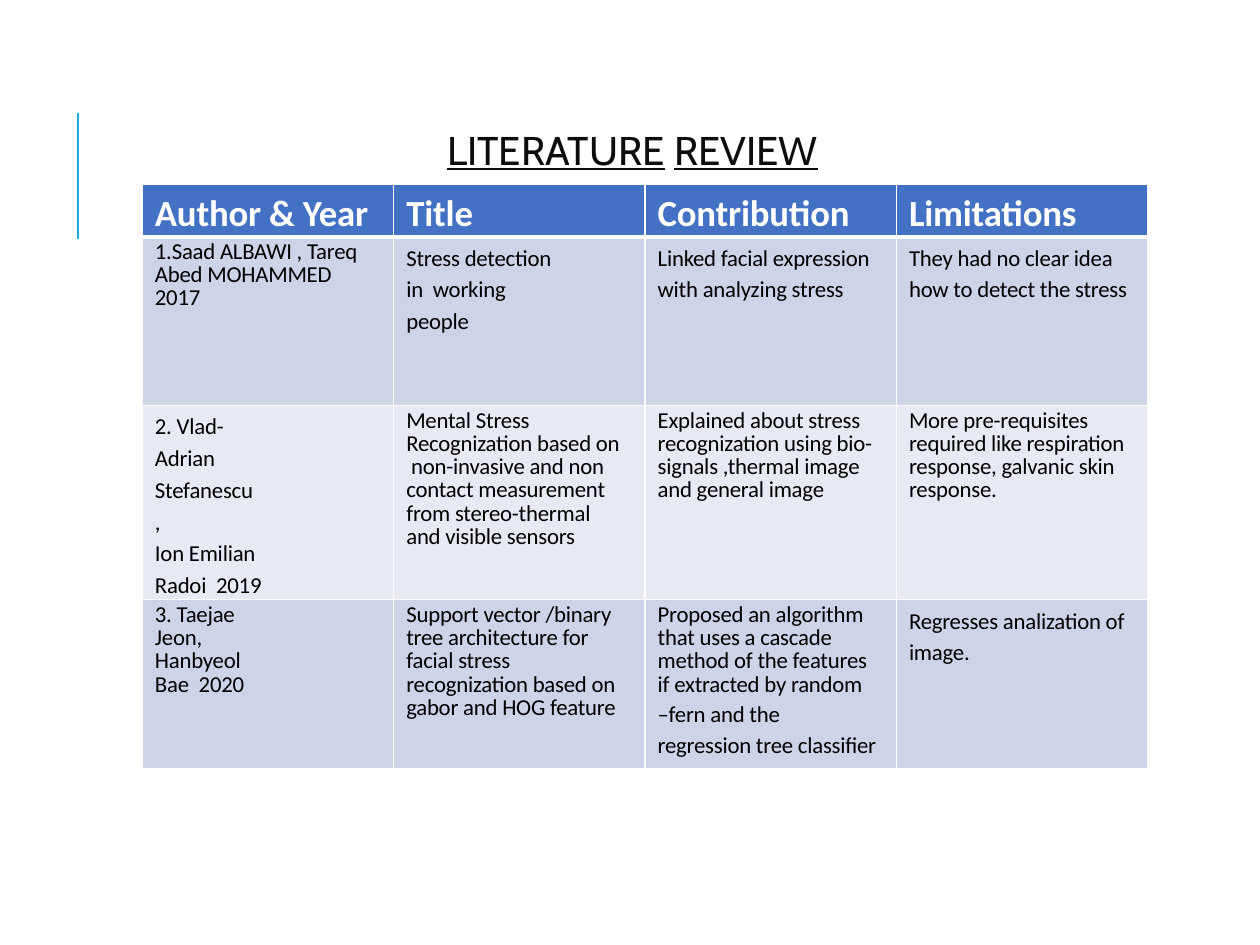
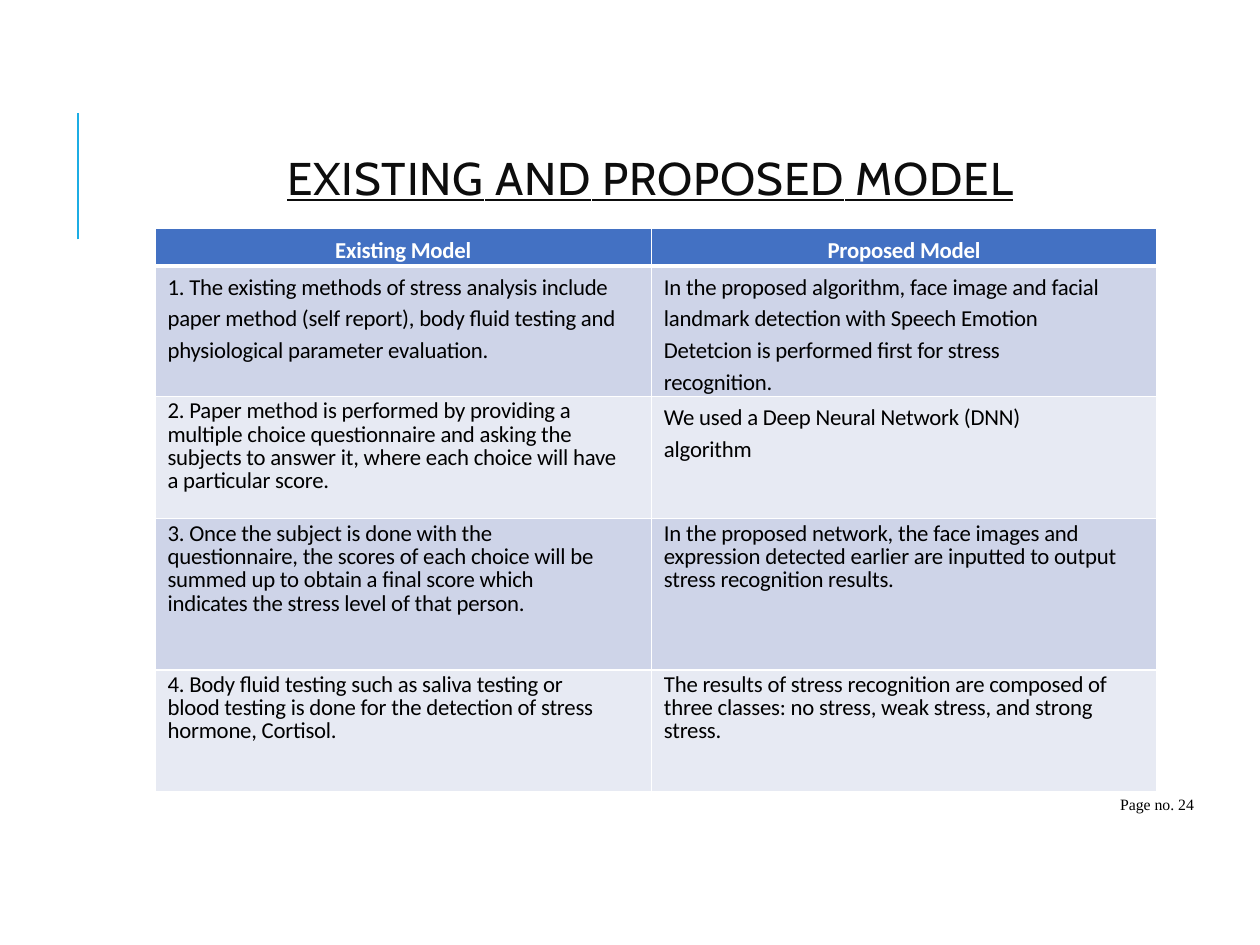
from lxml import etree
from pptx import Presentation
from pptx.dml.color import RGBColor
from pptx.enum.shapes import MSO_CONNECTOR
from pptx.enum.text import MSO_ANCHOR, PP_ALIGN
from pptx.oxml.ns import qn
from pptx.util import Inches, Pt

STRAIGHT = MSO_CONNECTOR.STRAIGHT
MIDDLE, TOP = MSO_ANCHOR.MIDDLE, MSO_ANCHOR.TOP
LEFT, CENTER = PP_ALIGN.LEFT, PP_ALIGN.CENTER

COLORS = {
    "accent": "1CADE4",
    "title": "0D0D0D",
    "text": "000000",
    "white": "FFFFFF",
    "header": "4371C3",
    "odd": "CED4E8",
    "even": "E7EAF3",
}
TITLE_FONT, BODY_FONT, FOOTER_FONT = "Cabin", "Calibri", "Times New Roman"
BODY_SIZE = 13
TIGHT, LOOSE = 0.84, Pt(18.1)


def rgb(name):
    return RGBColor.from_string(COLORS[name])


def style_font(font, name, size, color, bold=False, spacing=0):
    """Set a font; spacing is the gap between letters in points."""
    font.name, font.size, font.bold = name, Pt(size), bold
    font.color.rgb = rgb(color)
    set_letter_spacing(font, spacing)


def set_letter_spacing(font, points):
    font._rPr.set("spc", str(round(points * 100)))


def set_borders(cell, top, bottom):
    """Draw white borders; top and bottom are widths in points."""
    properties = cell._tc.get_or_add_tcPr()
    sides = {"lnL": 1, "lnR": 1, "lnT": top, "lnB": bottom}
    for index, (side, width) in enumerate(sides.items()):
        line = etree.Element(qn(f"a:{side}"), w=str(Pt(width)))
        fill = etree.SubElement(line, qn("a:solidFill"))
        etree.SubElement(fill, qn("a:srgbClr"), val=COLORS["white"])
        properties.insert(index, line)


class Deck:
    def __init__(self):
        self.presentation = Presentation()
        self.presentation.slide_width = Inches(10)
        self.presentation.slide_height = Inches(7.5)
        self.slide = None

    def add_slide(self):
        layout = self.presentation.slide_layouts[6]
        self.slide = self.presentation.slides.add_slide(layout)
        self.add_accent_line()

    def add_accent_line(self):
        line = self.slide.shapes.add_connector(
            STRAIGHT, Inches(0.62), Inches(1.9), Inches(0.62), Inches(0.9))
        line.line.color.rgb = rgb("accent")
        line.line.width = Pt(1.5)
        etree.SubElement(line._element.spPr, qn("a:effectLst"))

    def add_text_box(self, left, top, width, height, anchor=TOP):
        """Add a box without insets and return its first paragraph."""
        box = self.slide.shapes.add_textbox(
            Inches(left), Inches(top), Inches(width), Inches(height))
        frame = box.text_frame
        frame.word_wrap = True
        frame.vertical_anchor = anchor
        frame.margin_left = Inches(0.01)
        frame.margin_top = frame.margin_right = frame.margin_bottom = 0
        return frame.paragraphs[0]

    def add_title(self, place, size, words, letter_spacing, gap_spacing,
                  underline_gaps):
        paragraph = self.add_text_box(*place, anchor=MIDDLE)
        paragraph.line_spacing = 0.8
        paragraph.space_before = Pt(1)
        style_font(paragraph.font, TITLE_FONT, size, "title")
        for index, word in enumerate(words.split()):
            if index:
                self.add_title_run(paragraph, " ", gap_spacing, underline_gaps)
            self.add_title_run(paragraph, word, letter_spacing, True)

    def add_title_run(self, paragraph, text, spacing, underline):
        run = paragraph.add_run()
        run.text = text
        run.font.underline = underline
        set_letter_spacing(run.font, spacing)

    def add_footer(self, text):
        paragraph = self.add_text_box(8.88, 6.31, 0.63, 0.15)
        paragraph.text = text
        paragraph.line_spacing = Pt(10.6)
        style_font(paragraph.font, FOOTER_FONT, 9, "text")

    def add_table(self, left, top, widths, heights, header, rows,
                  header_size, header_spacing, header_align):
        frame = self.slide.shapes.add_table(
            len(heights), len(widths), Inches(left), Inches(top),
            Inches(sum(widths)), Inches(sum(heights)))
        table = frame.table
        for column, width in zip(table.columns, widths):
            column.width = Inches(width)
        for row, height in zip(table.rows, heights):
            row.height = Inches(height)
        for index, text in enumerate(header):
            self.fill_header(table.cell(0, index), text, header_size,
                             header_spacing, header_align)
        for row_index, row in enumerate(rows, start=1):
            for index, content in enumerate(row):
                self.fill_cell(table.cell(row_index, index), row_index,
                               *content)

    def paint_cell(self, cell, color, left, top, right):
        cell.fill.solid()
        cell.fill.fore_color.rgb = rgb(color)
        cell.margin_left, cell.margin_right = Inches(left), Inches(right)
        cell.margin_top, cell.margin_bottom = Inches(top), 0

    def fill_header(self, cell, text, size, line_spacing, align):
        self.paint_cell(cell, "header", 0.1 if align == LEFT else 0, 0, 0)
        set_borders(cell, 1, 3)
        paragraph = cell.text_frame.paragraphs[0]
        paragraph.text = text
        paragraph.alignment = align
        paragraph.line_spacing = Pt(line_spacing)
        style_font(paragraph.font, BODY_FONT, size, "white", True, -0.1)

    def fill_cell(self, cell, row_index, text, line_spacing, right):
        """Fill a body cell; paragraphs after the first are always loose."""
        self.paint_cell(cell, "odd" if row_index % 2 else "even",
                        0.1, 0.03, right)
        set_borders(cell, 3 if row_index == 1 else 1, 1)
        frame = cell.text_frame
        for index, part in enumerate(text.split("\n")):
            paragraph = frame.add_paragraph() if index else frame.paragraphs[0]
            paragraph.text = part
            paragraph.line_spacing = LOOSE if index else line_spacing
            paragraph.space_before = Pt(0 if index else 2.6)
            style_font(paragraph.font, BODY_FONT, BODY_SIZE, "text",
                       spacing=-0.1)


def build_literature_review(deck):
    deck.add_slide()
    rows = [
        [("1.Saad ALBAWI , Tareq  Abed MOHAMMED  2017", TIGHT, 0.13),
         ("Stress detection in  working people", LOOSE, 0.7),
         ("Linked facial expression  with analyzing stress", LOOSE, 0.13),
         ("They had no clear idea  how to detect the stress", LOOSE, 0.13)],
        [("2. Vlad-Adrian  Stefanescu \v,\nIon Emilian Radoi  2019",
          LOOSE, 1),
         ("Mental Stress  Recognization based on  non-invasive and non  "
          "contact measurement  from stereo-thermal  and visible sensors",
          TIGHT, 0.17),
         ("Explained about stress  recognization using bio-  "
          "signals ,thermal image  and general image", TIGHT, 0.13),
         ("More pre-requisites  required like respiration  response, "
          "galvanic skin  response.", TIGHT, 0.13)],
        [("3. Taejae Jeon,  Hanbyeol Bae  2020", TIGHT, 1),
         ("Support vector /binary  tree architecture for  facial stress  "
          "recognization based on  gabor and HOG feature", TIGHT, 0.17),
         ("Proposed an algorithm  that uses a cascade  method of the "
          "features  if extracted by random\n"
          "–fern and the  regression tree classifier", TIGHT, 0.13),
         ("Regresses analization of  image.", LOOSE, 0.13)],
    ]
    deck.add_table(1.13, 1.46, [7.98 / 4] * 4, [0.4, 1.34, 1.39, 1.34],
                   ["Author & Year", "Title", "Contribution", "Limitations"],
                   rows, 21, 30.2, LEFT)
    deck.add_title((3.54, 1.02, 3.55, 0.4), 22.9, "LITERATURE REVIEW",
                   0, 0.3, False)


def build_model_comparison(deck):
    deck.add_slide()
    deck.add_title((2.27, 1.22, 6.1, 0.45), 26.2,
                   "EXISTING AND PROPOSED MODEL", 0.55, -3, True)
    rows = [
        [("1. The existing methods of stress analysis include  paper method "
          "(self report), body fluid testing and  physiological parameter "
          "evaluation.", LOOSE, 0.2),
         ("In the proposed algorithm, face image and facial  landmark "
          "detection with Speech Emotion Detetcion is performed first for "
          "stress  recognition.", LOOSE, 0.37)],
        [("2. Paper method is performed by providing a  multiple choice "
          "questionnaire and asking the  subjects to answer it, where each "
          "choice will have  a particular score.", TIGHT, 0.2),
         ("We used a Deep Neural Network (DNN)  algorithm", LOOSE, 0.37)],
        [("3. Once the subject is done with the  questionnaire, the scores "
          "of each choice will be  summed up to obtain a final score which  "
          "indicates the stress level of that person.", TIGHT, 0.35),
         ("In the proposed network, the face images and  expression detected "
          "earlier are inputted to output  stress recognition results.",
          TIGHT, 0.2)],
        [("4. Body fluid testing such as saliva testing or  blood testing is "
          "done for the detection of stress  hormone, Cortisol.",
          TIGHT, 0.35),
         ("The results of stress recognition are composed of  three classes: "
          "no stress, weak stress, and strong  stress.", TIGHT, 0.2)],
    ]
    deck.add_table(1.23, 1.81, [3.94, 4.01], [0.3, 0.97, 0.97, 1.2, 0.97],
                   ["Existing Model", "Proposed Model"], rows,
                   BODY_SIZE, 20.8, CENTER)
    deck.add_footer("Page no. 24")


def main():
    deck = Deck()
    build_literature_review(deck)
    build_model_comparison(deck)
    deck.presentation.save("out.pptx")


if __name__ == "__main__":
    main()
